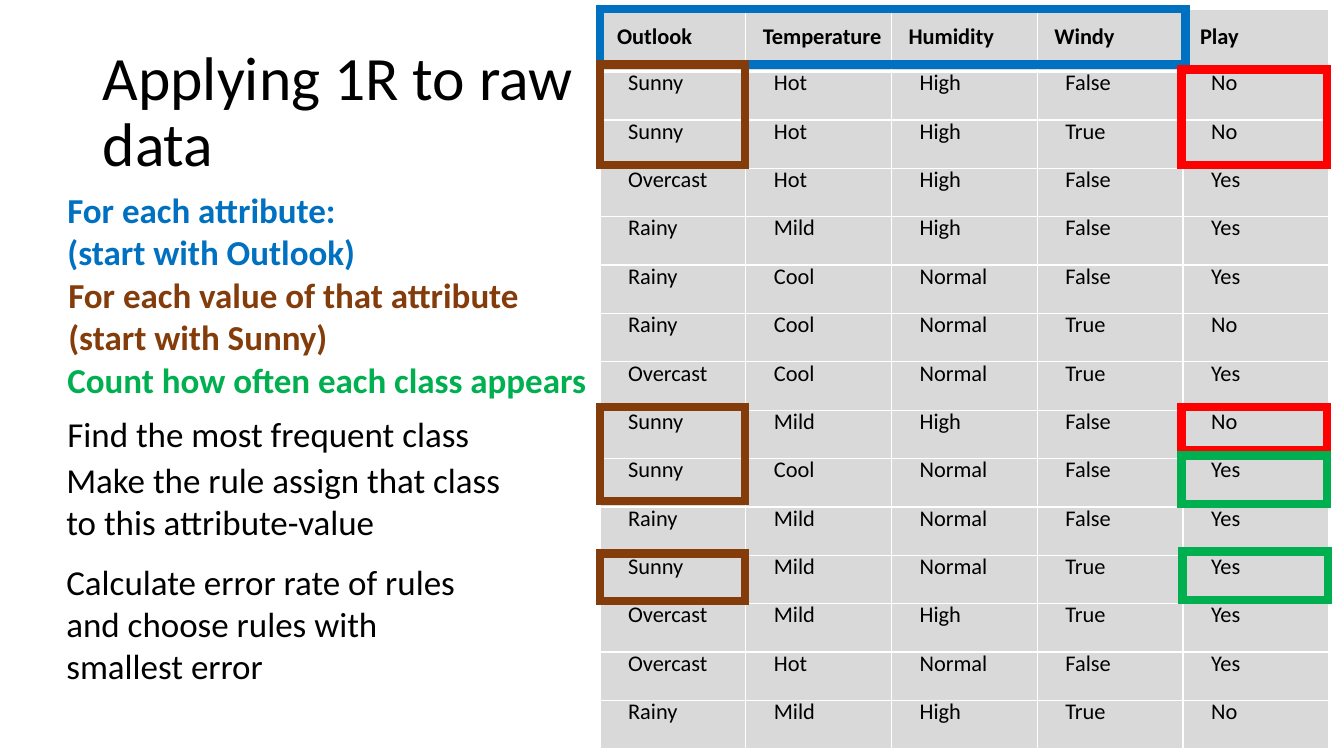
from dataclasses import dataclass

from lxml import etree
from pptx import Presentation, util as u
from pptx.dml.color import RGBColor
from pptx.enum import shapes, text
from pptx.oxml.ns import qn

PX = 9144  # 100 px to the inch


@dataclass(frozen=True)
class Theme:
    font: str = "Calibri"
    ink: str = "000000"
    cell: str = "D9D9D9"
    grid: str = "FFFFFF"
    blue: str = "0070C0"
    brown: str = "843C0B"
    red: str = "FF0000"
    green: str = "00B050"
    title_pt: int = 44
    step_pt: int = 25
    cell_pt: int = 16
    cell_leading: float = 15.2
    frame_pt: int = 6


T = Theme()

WEATHER = [row.split() for row in """\
Outlook Temperature Humidity Windy Play
Sunny Hot High False No
Sunny Hot High True No
Overcast Hot High False Yes
Rainy Mild High False Yes
Rainy Cool Normal False Yes
Rainy Cool Normal True No
Overcast Cool Normal True Yes
Sunny Mild High False No
Sunny Cool Normal False Yes
Rainy Mild Normal False Yes
Sunny Mild Normal True Yes
Overcast Mild High True Yes
Overcast Hot Normal False Yes
Rainy Mild High True No""".splitlines()]

# (left, top, width, height) within the steps region, lines, colour, bold
STEPS = [
    ((1, 0, 473, 94), ["For each attribute:", "(start with Outlook)"], T.blue, True),
    ((2, 84, 473, 94), ["For each value of that attribute", "(start with Sunny)"],
     T.brown, True),
    ((1, 169, 542, 52), ["Count how often each class appears"], T.green, True),
    ((1, 222, 423, 52), ["Find the most frequent class"], T.ink, False),
    ((0, 268, 473, 98), ["Make the rule assign that class to this attribute-value"],
     T.ink, False),
    ((0, 369, 412, 136),
     ["Calculate error rate of rules and choose rules with smallest error"], T.ink, False),
]

# (left, top, width, height) within the table region, colour
FRAMES = [
    ((0, 0, 581, 55), T.blue),
    ((0, 55, 144, 100), T.brown),
    ((0, 395, 144, 93), T.brown),
    ((0, 540, 144, 47), T.brown),
    ((577, 60, 144, 95), T.red),
    ((577, 395, 144, 43), T.red),
    ((577, 443, 144, 48), T.green),
    ((578, 538, 144, 48), T.green),
]


def emu(*lengths):
    return [u.Emu(n * PX) for n in lengths]


def within(region, box):
    return region[0] + box[0], region[1] + box[1], box[2], box[3]


def style_runs(p, size, color, bold=False):
    for r in p.runs:
        r.font.name = T.font
        r.font.size = u.Pt(size)
        r.font.bold = bold
        r.font.color.rgb = RGBColor.from_string(color)


def add_text(s, box, lines, size, color, bold=False):
    tf = s.shapes.add_textbox(*emu(*box)).text_frame
    tf.word_wrap = True
    tf.text = "\n".join(lines)
    for p in tf.paragraphs:
        style_runs(p, size, color, bold)
    return tf


def add_title(s, box):
    tf = add_text(s, box, ["Applying 1R to raw data"], T.title_pt, T.ink)
    tf.vertical_anchor = text.MSO_ANCHOR.MIDDLE
    tf.paragraphs[0].line_spacing = 0.9


def add_steps(s, region):
    for box, lines, color, bold in STEPS:
        add_text(s, within(region, box), lines, T.step_pt, color, bold)


def set_border(cell, side, width):
    tcPr = cell._tc.get_or_add_tcPr()
    ln = etree.SubElement(tcPr, qn(f"a:ln{side}"), w=str(u.Pt(width)))
    fill = etree.SubElement(ln, qn("a:solidFill"))
    etree.SubElement(fill, qn("a:srgbClr"), val=T.grid)


def style_cell(cell, header):
    inset, pad = (17, 7) if header else (28, 4)
    cell.margin_left, cell.margin_right = emu(inset, pad)
    cell.margin_top, cell.margin_bottom = emu(pad, pad)
    cell.vertical_anchor = text.MSO_ANCHOR.MIDDLE if header else text.MSO_ANCHOR.TOP
    for side in "LRTB":
        if header or side != "T":
            set_border(cell, side, 3 if header and side == "B" else 1)
    cell.fill.solid()
    cell.fill.fore_color.rgb = RGBColor.from_string(T.cell)
    p = cell.text_frame.paragraphs[0]
    p.line_spacing = u.Pt(T.cell_leading)
    style_runs(p, T.cell_pt, T.ink, header)


def add_weather_table(s, box, header_height=62, row_height=48):
    n_rows, n_cols = len(WEATHER), len(WEATHER[0])
    table = s.shapes.add_table(n_rows, n_cols, *emu(*box)).table
    table.first_row = table.horz_banding = False
    for col in table.columns:
        col.width = u.Emu(box[2] * PX // n_cols)
    for i, values in enumerate(WEATHER):
        table.rows[i].height = u.Emu((row_height if i else header_height) * PX)
        for j, value in enumerate(values):
            cell = table.cell(i, j)
            cell.text = value
            style_cell(cell, header=i == 0)


def add_frames(s, region):
    """Outline the cells that each coloured step refers to."""
    for box, color in FRAMES:
        sp = s.shapes.add_shape(shapes.MSO_SHAPE.RECTANGLE, *emu(*within(region, box)))
        sp.shadow.inherit = False
        sp.fill.background()
        sp.line.width = u.Pt(T.frame_pt)
        sp.line.color.rgb = RGBColor.from_string(color)
        etree.SubElement(sp.line._get_or_add_ln(), qn("a:miter"), lim="800000")


def main():
    prs = Presentation()
    prs.slide_width, prs.slide_height = emu(1333, 750)
    s = prs.slides.add_slide(prs.slide_layouts[6])
    table_region = (595, 9, 723, 735)
    add_title(s, (92, 40, 489, 145))
    add_weather_table(s, table_region)
    add_frames(s, table_region)
    add_steps(s, (56, 182, 542, 505))
    prs.save("out.pptx")


if __name__ == "__main__":
    main()
